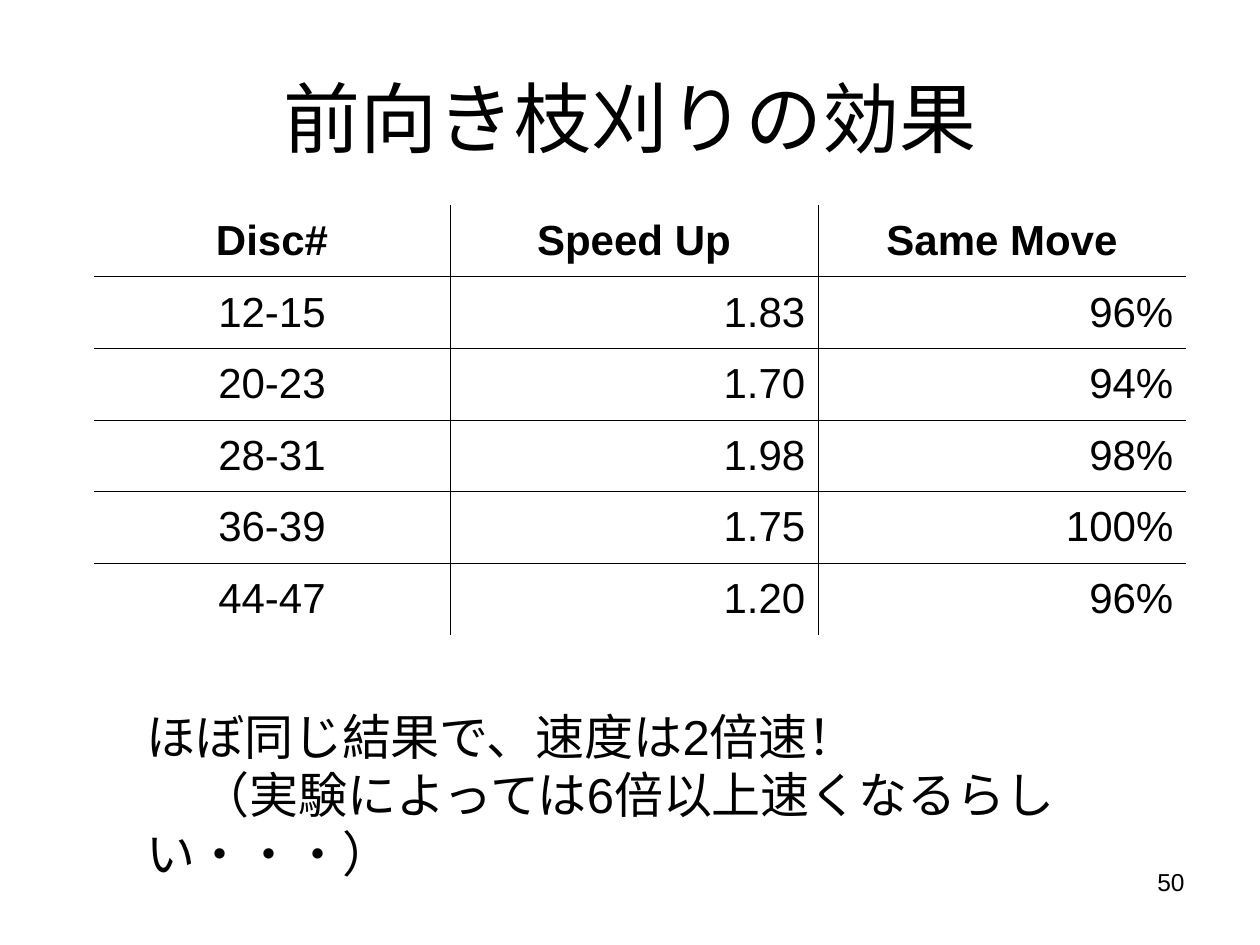
"""Build the slide on the effect of forward pruning."""
from dataclasses import dataclass

from lxml import etree
from pptx import Presentation
from pptx import util as u
from pptx.dml.color import RGBColor
from pptx.enum import text
from pptx.oxml.ns import qn

EMU_PER_PX = 914400 / 126
FONT = "Arial"
BLACK = "000000"
RULE_WIDTH = u.Pt(0.45)


@dataclass(frozen=True)
class Box:
    """Hold a position and size in px."""
    left: int
    top: int
    width: int
    height: int

    def emu(self) -> tuple:
        """Return left, top, width and height in EMU."""
        return tuple(map(px, (self.left, self.top, self.width, self.height)))


@dataclass(frozen=True)
class Column:
    """Describe one table column."""
    heading: str
    width: int
    align: text.PP_ALIGN
    values: tuple


TITLE_BOX = Box(63, 38, 1134, 157)
TABLE_BOX = Box(94, 205, 1092, 430)
REMARK_BOX = Box(134, 700, 1005, 189)
NUMBER_BOX = Box(903, 861, 294, 65)
REMARKS = (
    ("ほぼ同じ結果で、速度は2倍速！", 0),
    ("（実験によっては6倍以上速くなるらしい・・・）", 54),
)
COLUMNS = (
    Column("Disc#", 356, text.PP_ALIGN.CENTER,
           ("12-15", "20-23", "28-31", "36-39", "44-47")),
    Column("Speed Up", 368, text.PP_ALIGN.RIGHT,
           ("1.83", "1.70", "1.98", "1.75", "1.20")),
    Column("Same Move", 368, text.PP_ALIGN.RIGHT,
           ("96%", "94%", "98%", "100%", "96%")),
)


def px(length: float) -> int:
    """Turn px into EMU."""
    return round(length * EMU_PER_PX)


def color(value: str) -> RGBColor:
    """Turn a hex string into a colour."""
    return RGBColor.from_string(value)


def write(paragraph, words: str, size: int, align=text.PP_ALIGN.LEFT,
          bold: bool = False) -> None:
    """Add one formatted run to a paragraph."""
    paragraph.alignment = align
    run = paragraph.add_run()
    run.text = words
    run.font.name = FONT
    run.font.size = u.Pt(size)
    run.font.bold = bold
    run.font.color.rgb = color(BLACK)


def add_text_frame(slide, box: Box):
    """Add a wrapping text box and return its frame."""
    frame = slide.shapes.add_textbox(*box.emu()).text_frame
    frame.word_wrap = True
    return frame


def set_borders(cell, sides: dict) -> None:
    """Rule the sides marked true and clear the others."""
    properties = cell._tc.get_or_add_tcPr()
    for side, ruled in sides.items():
        line = etree.SubElement(properties, qn(f"a:ln{side}"), w=str(int(RULE_WIDTH)))
        if ruled:
            fill = etree.SubElement(line, qn("a:solidFill"))
            etree.SubElement(fill, qn("a:srgbClr"), val=BLACK)
        else:
            etree.SubElement(line, qn("a:noFill"))


def add_results(slide) -> None:
    """Add the results table, ruled on its inner edges only."""
    row_count = len(COLUMNS[0].values) + 1
    table = slide.shapes.add_table(row_count, len(COLUMNS), *TABLE_BOX.emu()).table
    table.first_row = table.horz_banding = False
    for row in table.rows:
        row.height = px(TABLE_BOX.height / row_count)
    for c, column in enumerate(COLUMNS):
        table.columns[c].width = px(column.width)
        for r, words in enumerate((column.heading, *column.values)):
            cell = table.cell(r, c)
            set_borders(cell, {"L": c > 0, "R": c < len(COLUMNS) - 1,
                               "T": r > 0, "B": r < row_count - 1})
            cell.fill.background()
            cell.vertical_anchor = text.MSO_ANCHOR.MIDDLE
            align = column.align if r else text.PP_ALIGN.CENTER
            write(cell.text_frame.paragraphs[0], words, 24, align, bold=r == 0)


def add_remarks(slide) -> None:
    """Add the remarks with their first-line indents."""
    frame = add_text_frame(slide, REMARK_BOX)
    for i, (words, indent) in enumerate(REMARKS):
        paragraph = frame.add_paragraph() if i else frame.paragraphs[0]
        properties = paragraph._p.get_or_add_pPr()
        properties.set("marL", "0")
        properties.set("indent", str(px(indent)))
        write(paragraph, words, 28)


def main() -> None:
    """Build and save the slide."""
    deck = Presentation()
    deck.slide_width, deck.slide_height = u.Inches(10), u.Inches(7.5)
    slide = deck.slides.add_slide(deck.slide_layouts[5])
    title = slide.shapes.title
    title.left, title.top, title.width, title.height = TITLE_BOX.emu()
    title.text_frame.vertical_anchor = text.MSO_ANCHOR.MIDDLE
    write(title.text_frame.paragraphs[0], "前向き枝刈りの効果", 44, text.PP_ALIGN.CENTER)
    add_results(slide)
    add_remarks(slide)
    number = add_text_frame(slide, NUMBER_BOX)
    write(number.paragraphs[0], "50", 14, text.PP_ALIGN.RIGHT)
    deck.save("out.pptx")


if __name__ == "__main__":
    main()
